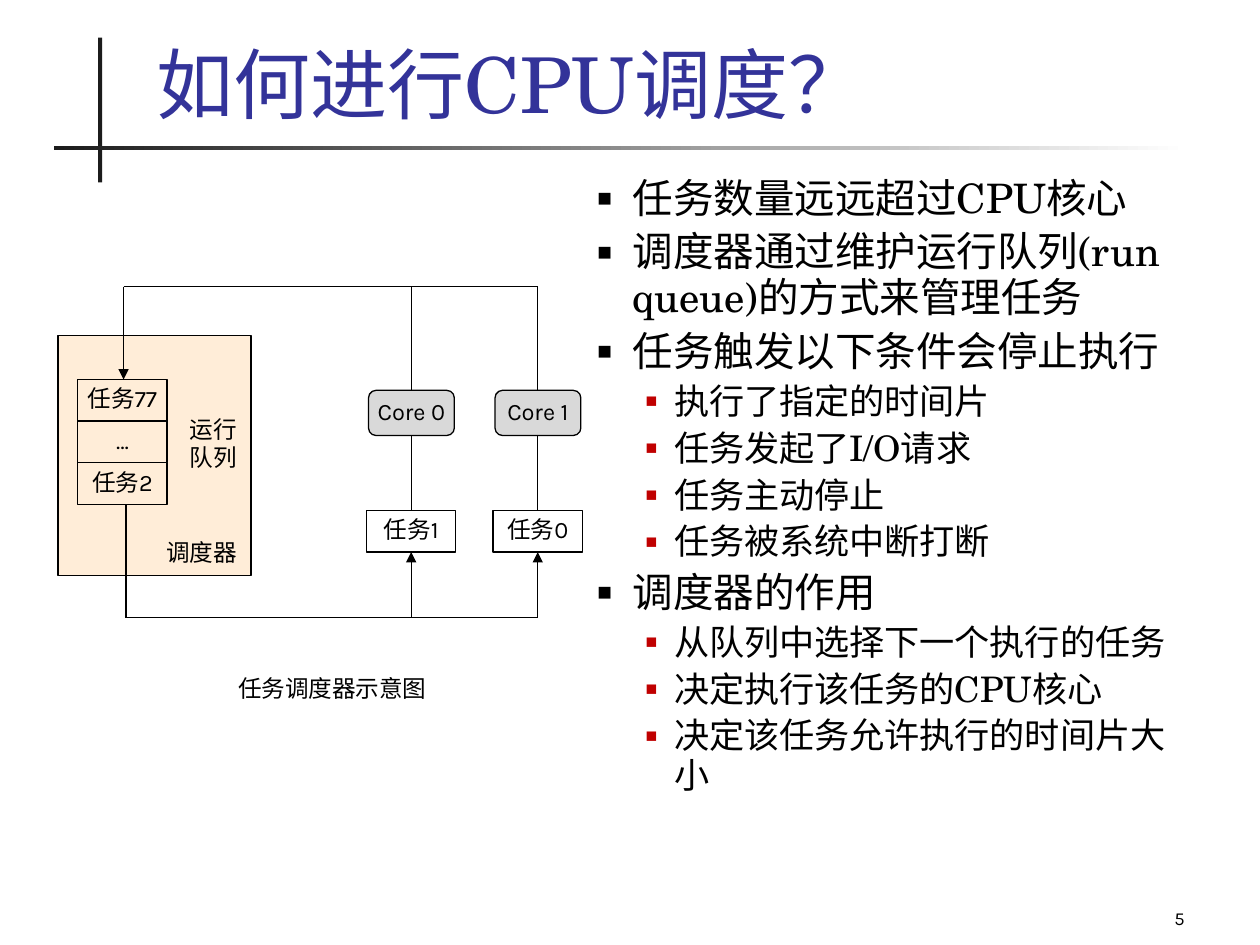
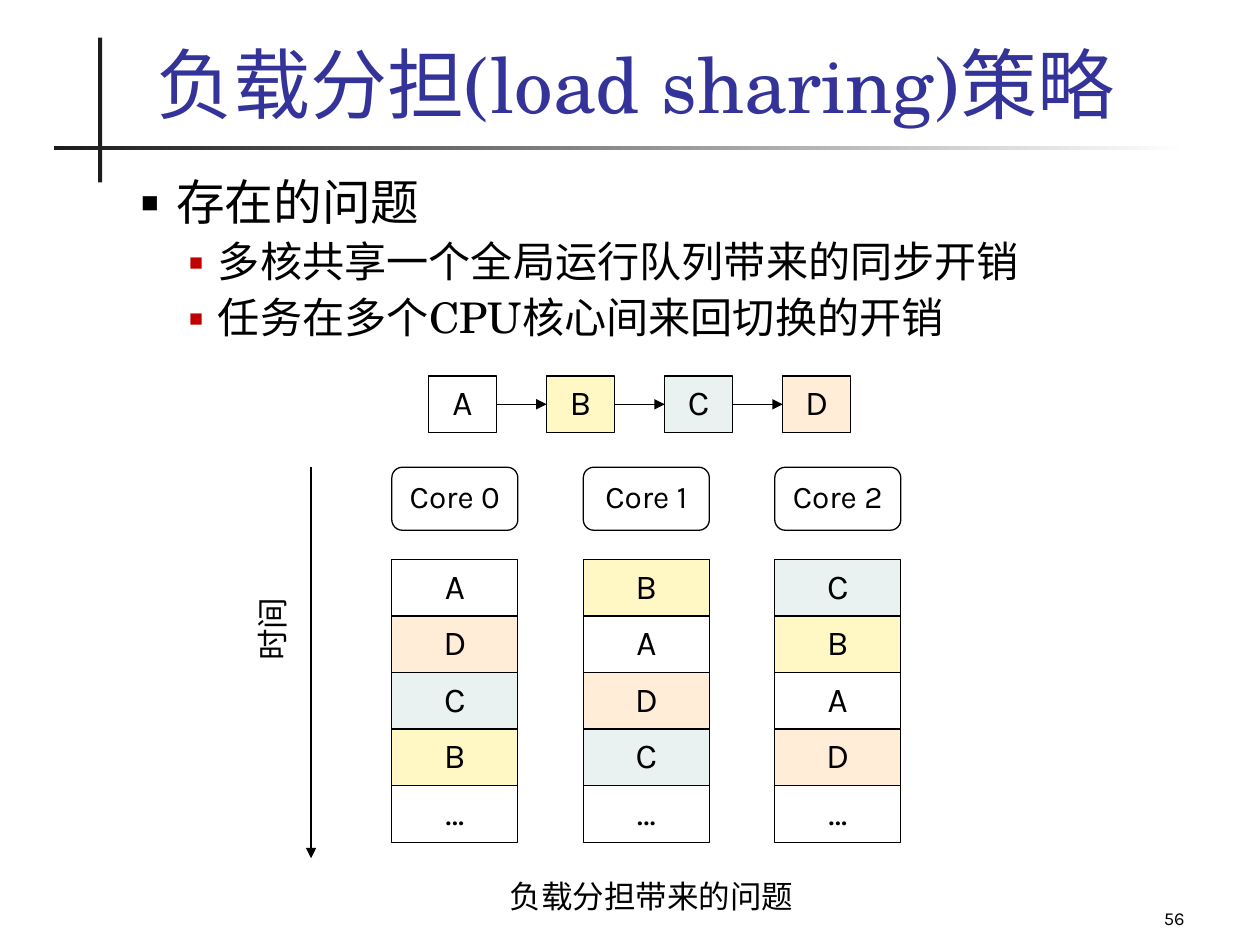
from lxml.etree import SubElement
from pptx import Presentation
from pptx.dml.color import RGBColor
from pptx.enum.shapes import MSO_CONNECTOR as Link, MSO_SHAPE as Preset
from pptx.enum.text import MSO_ANCHOR as Anchor, MSO_AUTO_SIZE as Fit, PP_ALIGN as Align
from pptx.oxml.ns import qn
from pptx.util import Cm, Pt

BLACK, INK, TITLE_BLUE, RED = "000000", "1C1C1C", "333399", "C00000"
PEACH, YELLOW, MINT, GREY = "FFEDD8", "FFF8C5", "EAF1F1", "D9D9D9"
TASK_FILLS = {"A": None, "B": YELLOW, "C": MINT, "D": PEACH, "…": None}


def color(hex_text):
    return RGBColor.from_string(hex_text)


def lengths(*values):
    return [Cm(value) for value in values]


def write(paragraph, text, size=13.5, font="Karla", ink=BLACK,
          align=Align.LEFT, spacing=1.0, before=0):
    paragraph.alignment = align
    paragraph.line_spacing = spacing
    paragraph.space_before = Pt(before)
    run = paragraph.add_run()
    run.text = text
    run.font.size, run.font.name = Pt(size), font
    run.font.color.rgb = color(ink)


class Deck:
    """Hold the deck's style and current slide, and draw each kind of element."""

    serif = "TeX Gyre Schola"
    bullets = ((0.71, -0.71, BLACK, 60), (1.55, -0.58, RED, 55))

    def __init__(self):
        self.show = Presentation()
        self.show.slide_width, self.show.slide_height = lengths(25.4, 19.05)
        self.slide = None

    def start(self, title, number):
        self.slide = self.show.slides.add_slide(self.show.slide_layouts[1])
        self.band(1.98, 0.76, 0.08, 2.92)
        self.band(1.09, 2.95, 22.86, 0.08, fade=True)
        heading = self.slide.shapes.title
        self.place(heading, 2.9, 0.64, 21.82, 2.08)
        heading.text_frame.vertical_anchor = Anchor.BOTTOM
        write(heading.text_frame.paragraphs[0], title, 44, self.serif, TITLE_BLUE)
        self.label(18.85, 17.58, 5.28, 1.27, number, anchor=Anchor.BOTTOM,
                   size=10.5, align=Align.RIGHT)

    def place(self, holder, *box):
        holder.left, holder.top, holder.width, holder.height = lengths(*box)
        holder.text_frame.auto_size = Fit.NONE

    def band(self, *box, fade=False):
        band = self.slide.shapes.add_shape(Preset.RECTANGLE, *lengths(*box))
        band.shadow.inherit = False
        band.line.fill.background()
        if fade:
            band.fill.gradient()
            band.fill.gradient_angle = 0
            for stop, shade in zip(band.fill.gradient_stops, (INK, "FFFFFF")):
                stop.color.rgb = color(shade)
        else:
            band.fill.solid()
            band.fill.fore_color.rgb = color(INK)

    def outline(self, box, sizes, items):
        body = self.slide.placeholders[1]
        self.place(body, *box)
        for index, (level, text) in enumerate(items):
            frame = body.text_frame
            paragraph = frame.add_paragraph() if index else frame.paragraphs[0]
            paragraph.level = level
            self.bullet(paragraph, *self.bullets[level])
            write(paragraph, text, sizes[level], self.serif, spacing=0.94,
                  before=0.2 * sizes[level] if index else 0)

    def bullet(self, paragraph, margin, indent, ink, percent):
        props = paragraph._p.get_or_add_pPr()
        props.set("marL", str(Cm(margin)))
        props.set("indent", str(Cm(indent)))
        SubElement(SubElement(props, qn("a:buClr")), qn("a:srgbClr"), val=ink)
        SubElement(props, qn("a:buSzPct"), val=str(percent * 1000))
        SubElement(props, qn("a:buChar"), char="■")

    def box(self, *area, text="", fill=None, preset=Preset.RECTANGLE, size=13.5):
        box = self.slide.shapes.add_shape(preset, *lengths(*area))
        box.shadow.inherit = False
        box.line.color.rgb, box.line.width = color(BLACK), Pt(0.75)
        if fill:
            box.fill.solid()
            box.fill.fore_color.rgb = color(fill)
        else:
            box.fill.background()
        if text:
            box.text_frame.word_wrap = False
            box.text_frame.vertical_anchor = Anchor.MIDDLE
            write(box.text_frame.paragraphs[0], text, size, align=Align.CENTER, spacing=0.9)

    def label(self, left, top, width, height, text, anchor=Anchor.TOP, upward=False, **style):
        frame = self.slide.shapes.add_textbox(*lengths(left, top, width, height)).text_frame
        frame.word_wrap = True
        frame.vertical_anchor = anchor
        if upward:
            frame._txBody.bodyPr.set("vert", "vert270")
        write(frame.paragraphs[0], text, **style)

    def line(self, *ends, arrow=False):
        line = self.slide.shapes.add_connector(Link.STRAIGHT, *lengths(*ends))
        line.line.color.rgb, line.line.width = color(BLACK), Pt(0.75)
        if arrow:
            SubElement(line.line._get_or_add_ln(), qn("a:tailEnd"), type="triangle")
        SubElement(line._element.spPr, qn("a:effectLst"))


def scheduling(deck):
    deck.start("如何进行CPU调度？", "5")
    deck.outline((11.79, 3.43, 12.4, 13.59), (23.2, 20.1), (
        (0, "任务数量远远超过CPU核心"),
        (0, "调度器通过维护运行队列(run queue)的方式来管理任务"),
        (0, "任务触发以下条件会停止执行"),
        (1, "执行了指定的时间片"),
        (1, "任务发起了I/O请求"),
        (1, "任务主动停止"),
        (1, "任务被系统中断打断"),
        (0, "调度器的作用"),
        (1, "从队列中选择下一个执行的任务"),
        (1, "决定执行该任务的CPU核心"),
        (1, "决定该任务允许执行的时间片大小"),
    ))
    task_width, task_height = 1.8, 0.84
    queue_left, queue_top = 1.57, 7.65
    return_y, dispatch_y = 5.78, 12.45
    core_centers = (8.29, 10.84)
    deck.box(1.17, 6.76, 3.89, 4.85, fill=PEACH)
    for row, task in enumerate(("任务77", "…", "任务2")):
        deck.box(queue_left, queue_top + row * task_height, task_width, task_height, text=task)
    deck.label(3.1, 10.72, 2.16, 0.84, "调度器")
    deck.label(3.58, 8.23, 1.55, 1.42, "运行队列")
    for center, core, task in zip(core_centers, ("Core 0", "Core 1"), ("任务1", "任务0")):
        deck.box(center - 0.86, 7.87, 1.73, 0.91, text=core, fill=GREY,
                 preset=Preset.ROUNDED_RECTANGLE)
        deck.box(center - task_width / 2, 10.29, task_width, task_height, text=task)
        deck.line(center, return_y, center, 7.87)
        deck.line(center, 8.78, center, 10.29)
        deck.line(center, dispatch_y, center, 10.29 + task_height, arrow=True)
    deck.line(2.49, return_y, core_centers[-1], return_y)
    deck.line(2.49, return_y, 2.49, queue_top, arrow=True)
    deck.line(2.54, dispatch_y, core_centers[-1], dispatch_y)
    deck.line(2.54, dispatch_y, 2.54, queue_top + 3 * task_height)
    deck.label(4.55, 13.46, 4.65, 0.84, "任务调度器示意图")


def load_sharing(deck):
    deck.start("负载分担(load sharing)策略", "56")
    deck.outline((2.59, 3.43, 21.59, 3.89), (27.8, 24.1), (
        (0, "存在的问题"),
        (1, "多核共享一个全局运行队列带来的同步开销"),
        (1, "任务在多个CPU核心间来回切换的开销"),
    ))
    task_height, queue_step, queue_width = 1.14, 2.38, 1.37
    for place, task in enumerate("ABCD"):
        left = 8.64 + place * queue_step
        deck.box(left, 7.58, queue_width, task_height, text=task, fill=TASK_FILLS[task], size=20)
        if place:
            deck.line(left - queue_step + queue_width, 8.15, left, 8.15, arrow=True)
    for core, tasks in enumerate(("ADCB…", "BADC…", "CBAD…")):
        left = 7.9 + core * 3.86
        deck.box(left, 9.42, 2.54, 1.27, text=f"Core {core}", size=18,
                 preset=Preset.ROUNDED_RECTANGLE)
        for row, task in enumerate(tasks):
            deck.box(left, 11.28 + row * task_height, 2.54, task_height, text=task,
                     fill=TASK_FILLS[task], size=20)
    deck.line(6.27, 9.42, 6.27, 17.3, arrow=True)
    deck.label(4.98, 11.56, 1.27, 2.01, "时间", upward=True, size=18)
    deck.label(10.03, 17.55, 6.71, 1.02, "负载分担带来的问题", size=18)


def main():
    deck = Deck()
    scheduling(deck)
    load_sharing(deck)
    deck.show.save("out.pptx")


if __name__ == "__main__":
    main()
